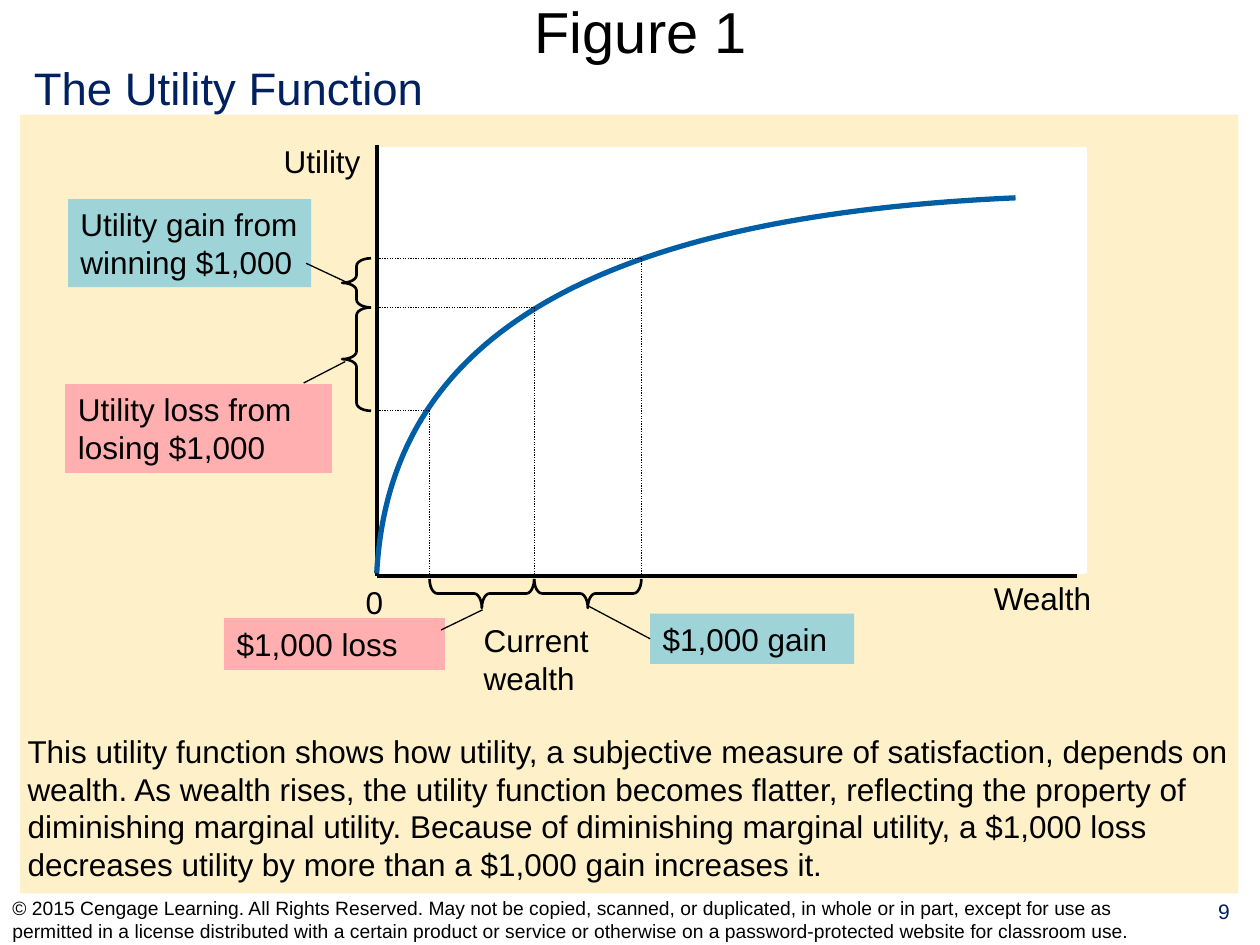
from lxml.etree import SubElement
from pptx import Presentation
from pptx.dml.color import RGBColor
from pptx.enum.dml import MSO_LINE
from pptx.enum.shapes import MSO_CONNECTOR, MSO_SHAPE
from pptx.enum.text import MSO_ANCHOR, MSO_AUTO_SIZE, PP_ALIGN
from pptx.oxml.ns import qn
from pptx.util import Inches, Pt

THEME = {
    "font": "Arial", "ink": "000000", "navy": "002060", "panel": "FEF0C8",
    "plot": "FFFFFF", "curve": "005EA4", "gain": "9ED3D7", "loss": "FFAFAF",
    "title": 33, "subtitle": 26, "body": 18, "number": 12, "small": 11,
    "axis": 2.25, "thick": 3, "brace": 1.5, "thin": 0.75,
}

TITLE = "Figure 1"
SUBTITLE = "The Utility Function"
COPYRIGHT = (
    "© 2015 Cengage Learning. All Rights Reserved. May not be copied, scanned, or "
    "duplicated, in whole or in part, except for use as permitted in a license "
    "distributed with a certain product or service or otherwise on a "
    "password-protected website for classroom use.")
EXPLANATION = (
    "This utility function shows how utility, a subjective measure of satisfaction, "
    "depends on wealth. As wealth rises, the utility function becomes flatter, "
    "reflecting the property of diminishing marginal utility. Because of diminishing "
    "marginal utility, a $1,000 loss decreases utility by more than a $1,000 gain "
    "increases it.")

ORIGIN = (2.99, 4.57)
AXIS_ENDS = [(2.99, 1.15), (8.55, 4.57)]
CURVE = [(2.99, 4.55), (3.08, 2.85), (4.42, 1.73), (8.06, 1.57)]
# Wealth and utility after losing, now, and after winning
CURVE_POINTS = [(3.41, 3.26), (4.24, 2.44), (5.09, 2.05)]
BRACE_DEPTH = 0.23
AXIS_LABELS = [
    ("Utility", (2.15, 1.08, 0.81, 0.4), PP_ALIGN.RIGHT),
    ("Wealth", (7.79, 4.55, 0.97, 0.4), PP_ALIGN.RIGHT),
    ("0", (2.8, 4.58, 0.34, 0.4), PP_ALIGN.RIGHT),
    ("Current\nwealth", (3.74, 4.88, 1.03, 0.7), PP_ALIGN.LEFT),
]
# Text, kind, box, leader start, leader end, whether it joins the left side
CALLOUTS = [
    ("$1,000 loss", "loss", (1.78, 4.91, 1.75, 0.4), (3.83, 4.84), (3.5, 5), False),
    ("Utility loss from losing $1,000", "loss", (0.52, 3.05, 2.11, 0.7),
     (2.74, 2.87), (2.41, 3.04), False),
    ("$1,000 gain", "gain", (5.16, 4.87, 1.62, 0.4), (4.67, 4.81), (5.16, 5.07), True),
    ("Utility gain from winning $1,000", "gain", (0.54, 1.58, 1.93, 0.7),
     (2.75, 2.24), (2.43, 2.09), False),
]


def rgb(name):
    return RGBColor.from_string(THEME[name])


def write(shape, text, size="body", color="ink", align=PP_ALIGN.LEFT,
          anchor=MSO_ANCHOR.TOP, wrap=True, inset=(0.1, 0.05)):
    tf = shape.text_frame
    tf.text = text
    tf.word_wrap = wrap
    tf.auto_size = MSO_AUTO_SIZE.NONE
    tf.vertical_anchor = anchor
    tf.margin_left = tf.margin_right = Inches(inset[0])
    tf.margin_top = tf.margin_bottom = Inches(inset[1])
    for p in tf.paragraphs:
        p.alignment = align
        p.font.name = THEME["font"]
        p.font.size = Pt(THEME[size])
        p.font.color.rgb = rgb(color)


def add_text(s, text, box, **fmt):
    write(s.shapes.add_textbox(*map(Inches, box)), text, **fmt)


def style_line(shape, color, width):
    shape.line.color.rgb = rgb(color)
    shape.line.width = Pt(width)


def add_rect(s, box, fill, edge=0):
    sp = s.shapes.add_shape(MSO_SHAPE.RECTANGLE, *map(Inches, box))
    sp.shadow.inherit = False
    sp.fill.solid()
    sp.fill.fore_color.rgb = rgb(fill)
    if edge:
        style_line(sp, fill, edge)
    else:
        sp.line.fill.background()
    return sp


def add_line(s, start, end, width, dotted=False):
    line = s.shapes.add_connector(MSO_CONNECTOR.STRAIGHT, *map(Inches, start + end))
    style_line(line, "ink", THEME[width])
    if dotted:
        line.line.dash_style = MSO_LINE.ROUND_DOT
    SubElement(line._element.spPr, qn("a:effectLst"))
    return line


def add_brace(s, center, length, rotation=0):
    """Left brace around a centre; a rotation of 270 makes it point down."""
    x, y = center
    sp = s.shapes.add_shape(
        MSO_SHAPE.LEFT_BRACE, Inches(x - BRACE_DEPTH / 2), Inches(y - length / 2),
        Inches(BRACE_DEPTH), Inches(length))
    sp.rotation = rotation
    sp.adjustments[0] = 0.27
    sp.shadow.inherit = False
    sp.fill.background()
    style_line(sp, "ink", THEME["brace"])


def add_curve(s, points):
    """Cubic Bezier: the freeform's three straight segments become one curve."""
    start, *rest = [(Inches(x), Inches(y)) for x, y in points]
    builder = s.shapes.build_freeform(*start)
    builder.add_line_segments(rest, close=False)
    sp = builder.convert_to_shape()
    segments = list(sp._element.iter(qn("a:lnTo")))
    bezier = SubElement(segments[0].getparent(), qn("a:cubicBezTo"))
    for segment in segments:
        bezier.append(segment[0])
        segment.getparent().remove(segment)
    sp.shadow.inherit = False
    sp.fill.background()
    style_line(sp, "curve", THEME["thick"])


def add_graph(s):
    y_end, x_end = AXIS_ENDS
    add_line(s, y_end, ORIGIN, "axis")
    add_rect(s, (3.02, 1.18, 5.59, 3.36), "plot", edge=2)
    add_line(s, ORIGIN, x_end, "axis")
    for text, box, align in AXIS_LABELS:
        add_text(s, text, box, align=align, wrap=False)
    add_curve(s, CURVE)
    for x, y in CURVE_POINTS:
        add_line(s, (ORIGIN[0], y), (x, y), "thin", dotted=True)
        add_line(s, (x, y), (x, ORIGIN[1]), "thin", dotted=True)
    for (x1, y1), (x2, y2) in zip(CURVE_POINTS, CURVE_POINTS[1:]):
        add_brace(s, ((x1 + x2) / 2, 4.71), x2 - x1, rotation=270)
        add_brace(s, (2.83, (y1 + y2) / 2), y1 - y2)
    for text, kind, box, start, end, joined in CALLOUTS:
        sp = add_rect(s, box, kind, edge=THEME["thin"] if kind == "loss" else 0)
        write(sp, text)
        leader = add_line(s, start, end, "thin")
        if joined:
            leader.end_connect(sp, 1)


def main():
    prs = Presentation()
    prs.slide_width, prs.slide_height = Inches(10), Inches(7.5)
    s = prs.slides.add_slide(prs.slide_layouts[5])

    title = s.shapes.title
    title.left, title.top, title.width, title.height = map(Inches, (0.35, 0, 9.47, 0.49))
    write(title, TITLE, size="title", align=PP_ALIGN.CENTER,
          anchor=MSO_ANCHOR.MIDDLE, inset=(0, 0))

    add_rect(s, (0.16, 0.91, 9.67, 6.18), "panel")
    add_text(s, SUBTITLE, (0.17, 0.43, 3.29, 0.54), size="subtitle", color="navy",
             wrap=False)
    add_graph(s)
    add_text(s, EXPLANATION, (0.12, 5.76, 9.82, 1.3))
    add_text(s, COPYRIGHT, (0, 7.1, 9.42, 0.4), size="small", anchor=MSO_ANCHOR.MIDDLE)
    add_text(s, "9", (9.43, 7.08, 0.57, 0.41), size="number", color="navy",
             align=PP_ALIGN.CENTER)
    prs.save("out.pptx")


if __name__ == "__main__":
    main()
